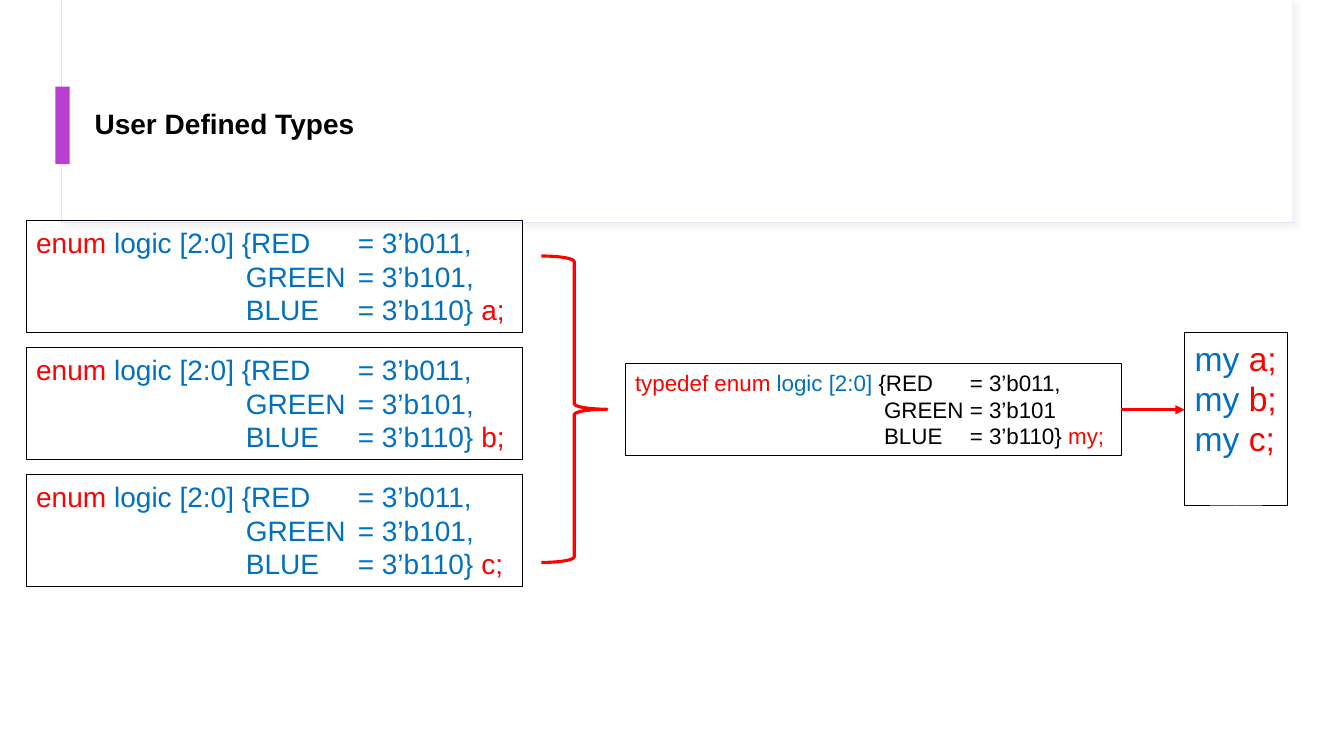
"""Build the slide on user defined types."""
from dataclasses import dataclass
from typing import Optional

from lxml.etree import SubElement
from pptx import Presentation
from pptx.dml.color import RGBColor
from pptx.enum.shapes import MSO_CONNECTOR, MSO_SHAPE
from pptx.enum.text import MSO_ANCHOR, PP_ALIGN
from pptx.oxml.ns import qn
from pptx.util import Inches, Pt

BLACK, WHITE, RED, BLUE = "000000", "FFFFFF", "FF0000", "0070C0"
PURPLE, PALE, SHADE = "B93FD1", "DFE5F2", "D8D8D8"


@dataclass(frozen=True)
class Span:
    text: str
    color: str


@dataclass(frozen=True)
class Area:
    left: float
    top: float
    width: float
    height: float

    def lengths(self):
        return [Inches(n) for n in (self.left, self.top, self.width, self.height)]


@dataclass(frozen=True)
class CodeBox:
    area: Area
    size: int
    lines: list[list[Span]]
    tabs: tuple[float, ...] = ()
    wrap: bool = True


@dataclass(frozen=True)
class Panel:
    area: Area
    fill: str
    line: Optional[str] = None


def rgb(color: str) -> RGBColor:
    return RGBColor.from_string(color)


def add_span(para, span: Span, size: int, bold: bool = False) -> None:
    run = para.add_run()
    run.text = span.text
    run.font.name = "Arial"
    run.font.size = Pt(size)
    run.font.bold = bold
    run.font.color.rgb = rgb(span.color)


def add_outline(page, preset, area: Area, fill: Optional[str],
                line: Optional[str], weight: float = 0.75):
    shape = page.shapes.add_shape(preset, *area.lengths())
    shape.shadow.inherit = False
    if fill:
        shape.fill.solid()
        shape.fill.fore_color.rgb = rgb(fill)
    else:
        shape.fill.background()
    if line:
        shape.line.color.rgb = rgb(line)
        shape.line.width = Pt(weight)
    else:
        shape.line.fill.background()
    return shape


def add_soft_shadow(shape) -> None:
    effects = shape._element.spPr.find(qn("a:effectLst"))
    shadow = SubElement(effects, qn("a:outerShdw"), blurRad=str(Pt(4)),
                        dist=str(Pt(3)), dir=str(45 * 60000), algn="tl", rotWithShape="0")
    tint = SubElement(shadow, qn("a:srgbClr"), val=SHADE)
    SubElement(tint, qn("a:alpha"), val="29000")


def set_tabs(para, tabs: tuple[float, ...]) -> None:
    stops = SubElement(para._p.get_or_add_pPr(), qn("a:tabLst"))
    for position in tabs:
        SubElement(stops, qn("a:tab"), pos=str(Inches(position)), algn="l")


def add_code(page, code: CodeBox):
    box = add_outline(page, MSO_SHAPE.RECTANGLE, code.area, None, BLACK)
    frame = box.text_frame
    frame.word_wrap = code.wrap
    frame.vertical_anchor = MSO_ANCHOR.TOP
    for index, line in enumerate(code.lines):
        para = frame.add_paragraph() if index else frame.paragraphs[0]
        para.alignment = PP_ALIGN.LEFT
        if code.tabs:
            set_tabs(para, code.tabs)
        for span in line:
            add_span(para, span, code.size)
    return box


def add_title(page, text: str) -> None:
    title = page.shapes.add_textbox(*Area(0.84, 0.6, 11.5, 1.29).lengths())
    title.text_frame.word_wrap = True
    title.text_frame.vertical_anchor = MSO_ANCHOR.MIDDLE
    para = title.text_frame.paragraphs[0]
    para.line_spacing = 0.9
    add_span(para, Span(text, BLACK), 20, bold=True)


def add_arrow(page, source, end_left: float) -> None:
    middle = source.top + source.height // 2
    arrow = page.shapes.add_connector(MSO_CONNECTOR.STRAIGHT, source.left + source.width,
                                      middle, Inches(end_left), middle)
    arrow.begin_connect(source, 3)
    arrow.line.color.rgb = rgb(RED)
    arrow.line.width = Pt(2.25)
    SubElement(arrow.line._get_or_add_ln(), qn("a:tailEnd"), type="triangle")
    SubElement(arrow._element.spPr, qn("a:effectLst"))


def enum_box(index: int, name: str) -> CodeBox:
    lines = [
        [Span("enum ", RED), Span("logic [2:0] {RED\t= 3’b011,", BLUE)],
        [Span("\tGREEN\t= 3’b101,", BLUE)],
        [Span("\tBLUE\t= 3’b110} ", BLUE), Span(f"{name};", RED)],
    ]
    return CodeBox(Area(0.26, 2.19 + 1.26 * index, 4.92, 1.11), 20, lines, (2.08, 3.19))


def main() -> None:
    deck = Presentation()
    deck.slide_width, deck.slide_height = Inches(13.33), Inches(7.5)
    page = deck.slides.add_slide(deck.slide_layouts[6])

    panels = [
        Panel(Area(0.61, 0, 12.21, 2.21), WHITE, PALE),
        Panel(Area(0.62, 0, 12.2, 2.2), WHITE),
        Panel(Area(0.55, 0.86, 0.14, 0.77), PURPLE),
    ]
    for panel in panels:
        shape = add_outline(page, MSO_SHAPE.RECTANGLE, panel.area, panel.fill, panel.line)
        if panel.line:
            add_soft_shadow(shape)
    add_title(page, "User Defined Types")

    variables = "abc"
    for index, name in enumerate(variables):
        add_code(page, enum_box(index, name))
    typedef_lines = [
        [Span("typedef enum ", RED), Span("logic [2:0] ", BLUE),
         Span("{RED\t= 3’b011,", BLACK)],
        [Span("\tGREEN\t= 3’b101", BLACK)],
        [Span("\tBLUE\t= 3’b110} ", BLACK), Span("my;", RED)],
    ]
    typedef = add_code(page, CodeBox(Area(6.2, 3.61, 4.92, 0.91), 16,
                                     typedef_lines, (2.47, 3.32)))
    uses = [[Span("my", BLUE), Span(f" {name};", RED)] for name in variables]
    add_code(page, CodeBox(Area(11.75, 3.3, 1.02, 1.72), 24, uses, wrap=False))

    add_outline(page, MSO_SHAPE.RIGHT_BRACE, Area(5.37, 2.54, 0.65, 3.04), None, RED, 2.25)
    add_arrow(page, typedef, 11.75)
    deck.save("out.pptx")


if __name__ == "__main__":
    main()
